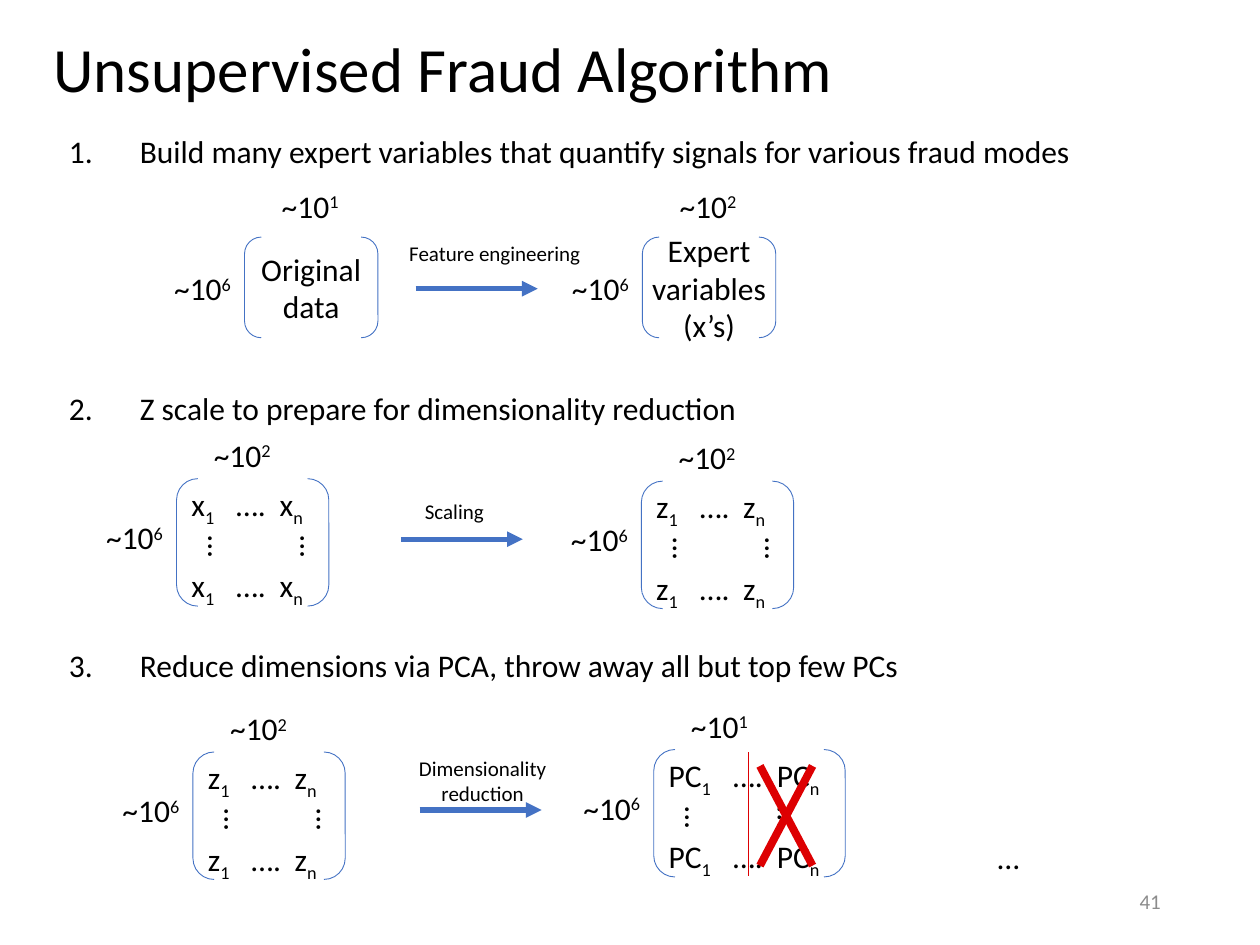
"""Build the slide on the three steps of an unsupervised fraud algorithm."""
from lxml.etree import SubElement
from pptx import Presentation
from pptx.dml.color import RGBColor
from pptx.enum.shapes import MSO_CONNECTOR, MSO_SHAPE
from pptx.enum.text import MSO_ANCHOR as Anchor, PP_ALIGN as Align
from pptx.oxml.ns import qn
from pptx.util import Cm, Pt

BLACK = RGBColor(0x00, 0x00, 0x00)
GREY = RGBColor(0x8C, 0x8C, 0x8C)
BLUE = RGBColor(0x44, 0x72, 0xC4)
RED = RGBColor(0xDD, 0x00, 0x02)
FONT = "Calibri"
SUPER, SUB = 30000, -25000

TITLE = "Unsupervised Fraud Algorithm"
STEPS = [
    "Build many expert variables that quantify signals for various fraud modes",
    "Z scale to prepare for dimensionality reduction",
    "Reduce dimensions via PCA, throw away all but top few PCs",
]
DATA_SETS = [
    (4.93, 4.78, "1", ["Original", "data"]),
    (12.95, 4.78, "2", ["Expert", "variables", "(x’s)"]),
]
MATRICES = [
    (3.56, 9.65, 3.07, "2", "x", (0.9, 1.78)),
    (12.93, 9.7, 3.07, "2", "z", (0.88, 1.75)),
    (3.89, 15.16, 3.07, "2", "z", (0.88, 1.75)),
    (13.18, 15.11, 3.86, "1", "PC", (1.3, 2.18)),
]
ARROWS = [(8.38, 5.82), (8.08, 10.87), (8.46, 16.33)]
CAPTIONS = [
    ((7.98, 4.72, 3.99, 0.76), ["Feature engineering"]),
    ((8.31, 9.93, 1.7, 0.76), ["Scaling"]),
    ((8.18, 15.11, 3.1, 1.27), ["Dimensionality", "reduction"]),
]
STRIKES = [
    ((16.38, 15.44), (15.32, 17.45), 4.5),
    ((15.32, 15.44), (16.38, 17.45), 4.5),
    ((15.09, 15.16), (15.09, 17.65), 1),
]
DATA_WIDTH, DATA_HEIGHT = 2.69, 2.03
NAME_OVERHANG = 0.2
MATRIX_HEIGHT = 2.57
ARROW_LENGTH = 2.46
LABEL_SIZE = (1.7, 1.02)
DOTS_SIZE = (0.97, 1.02)


def add_text(slide, box, lines, size=18, color=BLACK, align=Align.LEFT,
             anchor=Anchor.TOP, wrap=False):
    """Add a text box whose lines are lists of (text, baseline) runs."""
    holder = slide.shapes.add_textbox(*map(Cm, box))
    frame = holder.text_frame
    frame.word_wrap = wrap
    frame.vertical_anchor = anchor
    for index, line in enumerate(lines):
        paragraph = frame.paragraphs[0] if index == 0 else frame.add_paragraph()
        paragraph.alignment = align
        for text, baseline in line:
            run = paragraph.add_run()
            run.text = text
            run.font.name = FONT
            run.font.size = Pt(size)
            run.font.color.rgb = color
            if baseline:
                run.font._element.set("baseline", str(baseline))
    return holder


def plain(lines):
    """Turn strings into single-run lines."""
    return [[(line, 0)] for line in lines]


def add_line(slide, start, end, color, width, arrow=False):
    """Add a straight line, with an arrowhead at its end if asked."""
    line = slide.shapes.add_connector(
        MSO_CONNECTOR.STRAIGHT, *map(Cm, (*start, *end)))
    line.line.color.rgb = color
    line.line.width = Pt(width)
    properties = line._element.spPr
    if arrow:
        SubElement(properties.find(qn("a:ln")), qn("a:tailEnd"), type="triangle")
    SubElement(properties, qn("a:effectLst"))


def add_bracket(slide, left, top, width, height, columns, label_gap):
    """Add a bracket pair with its row and column counts."""
    bracket = slide.shapes.add_shape(
        MSO_SHAPE.DOUBLE_BRACKET, *map(Cm, (left, top, width, height)))
    bracket.shadow.inherit = False
    bracket.fill.background()
    bracket.line.color.rgb = BLUE
    bracket.line.width = Pt(0.5)
    labels = [
        (left - 1.67, top + 0.26 * height, "6"),
        (left + 0.5, top - label_gap, columns),
    ]
    for x, y, power in labels:
        add_text(slide, (x, y, *LABEL_SIZE), [[("~10", 0), (power, SUPER)]])


def add_data_set(slide, left, top, columns, names):
    """Add a bracketed data set with its name centred in it."""
    add_bracket(slide, left, top, DATA_WIDTH, DATA_HEIGHT, columns, 1.14)
    box = (left - NAME_OVERHANG, top, DATA_WIDTH + 2 * NAME_OVERHANG, DATA_HEIGHT)
    add_text(slide, box, plain(names), align=Align.CENTER, anchor=Anchor.MIDDLE)


def add_matrix(slide, left, top, width, columns, symbol, stops):
    """Add a bracketed matrix of subscripted symbols."""
    add_bracket(slide, left, top, width, MATRIX_HEIGHT, columns, 0.99)
    row = [(symbol, 0), ("1", SUB), ("\t….\t" + symbol, 0), ("n", SUB)]
    entries = add_text(
        slide, (left + 0.05, top, width - 0.23, MATRIX_HEIGHT), [row, row], wrap=True)
    for paragraph in entries.text_frame.paragraphs:
        tabs = SubElement(paragraph._p.get_or_add_pPr(), qn("a:tabLst"))
        for stop in stops:
            SubElement(tabs, qn("a:tab"), pos=str(Cm(stop)), algn="l")
    entries.text_frame.paragraphs[1].space_before = Pt(22)
    for offset in (-0.03, 1.83):
        dots = add_text(slide, (left + offset, top + 0.84, *DOTS_SIZE), plain(["…"]))
        dots.rotation = 270


def add_steps(slide):
    """Add the numbered steps, spaced to leave room for the diagrams."""
    steps = add_text(slide, (1.14, 2.62, 22.53, 11.94), plain(STEPS), wrap=True)
    for index, paragraph in enumerate(steps.text_frame.paragraphs):
        properties = paragraph._p.get_or_add_pPr()
        properties.set("marL", str(Cm(1.43)))
        properties.set("indent", str(-Cm(1.43)))
        SubElement(properties, qn("a:buFont"), typeface=FONT)
        SubElement(properties, qn("a:buAutoNum"), type="arabicPeriod")
        paragraph.line_spacing = 0.9
        paragraph.space_before = Pt(127.5 if index else 0)


def main():
    """Assemble and save the slide."""
    deck = Presentation()
    deck.slide_width, deck.slide_height = Cm(25.4), Cm(19.05)
    slide = deck.slides.add_slide(deck.slide_layouts[6])

    add_steps(slide)
    title = add_text(slide, (0.83, 1, 23.9, 0.89), plain([TITLE]), 36,
                     anchor=Anchor.MIDDLE, wrap=True)
    title.text_frame.paragraphs[0].line_spacing = 0.9
    add_text(slide, (17.93, 17.65, 5.72, 1.02), plain(["41"]), 12, GREY,
             Align.RIGHT, Anchor.MIDDLE, wrap=True)

    for data_set in DATA_SETS:
        add_data_set(slide, *data_set)
    for matrix in MATRICES:
        add_matrix(slide, *matrix)
    add_text(slide, (19.86, 16.76, *DOTS_SIZE), plain(["…"]))

    for x, y in ARROWS:
        add_line(slide, (x, y), (x + ARROW_LENGTH, y), BLUE, 3, arrow=True)
    for start, end, width in STRIKES:
        add_line(slide, start, end, RED, width)
    for box, lines in CAPTIONS:
        add_text(slide, box, plain(lines), 12, align=Align.CENTER)

    deck.save("out.pptx")


if __name__ == "__main__":
    main()
